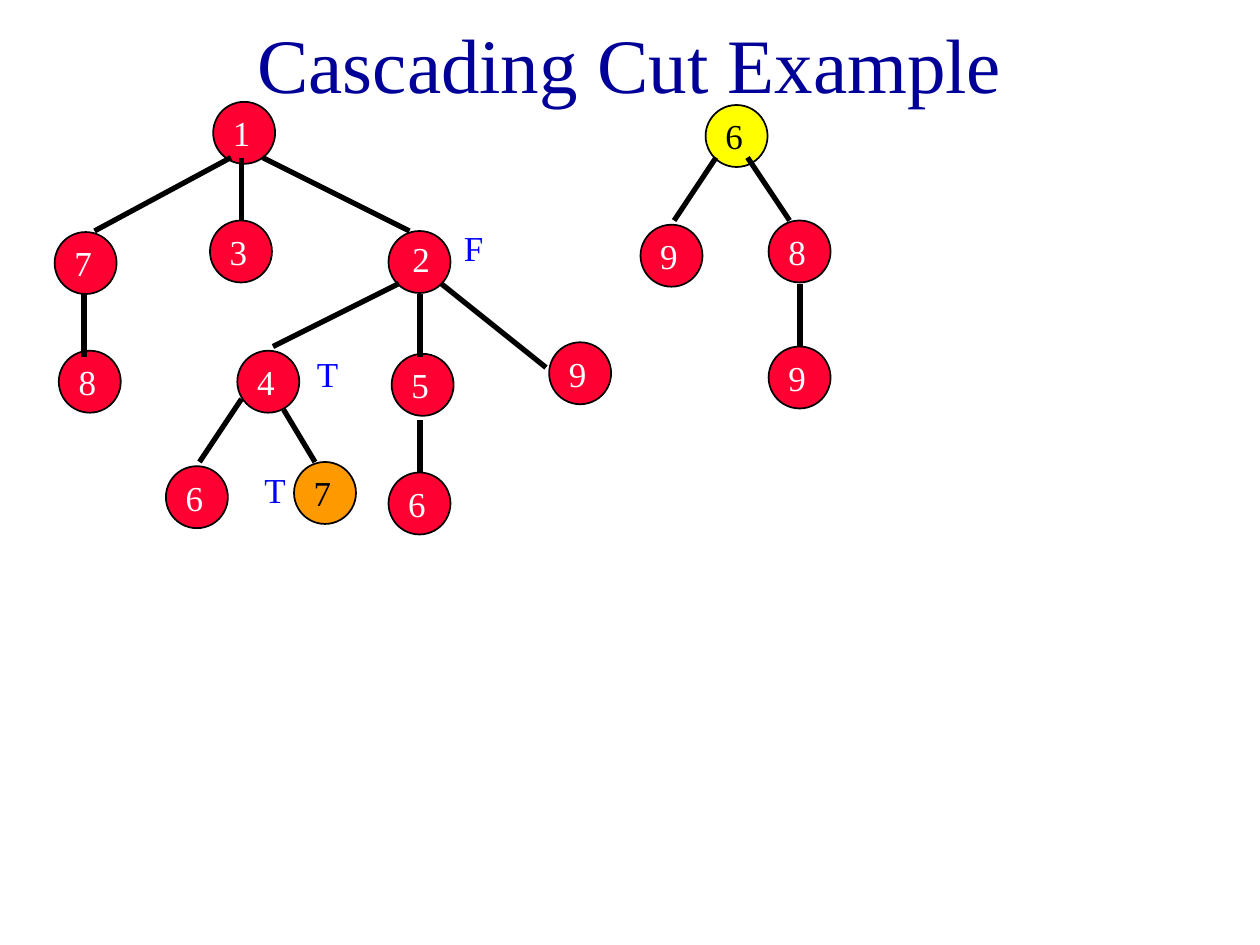
from pptx import Presentation
from pptx.dml.color import RGBColor
from pptx.enum.shapes import MSO_CONNECTOR, MSO_SHAPE
from pptx.enum.text import MSO_ANCHOR, PP_ALIGN
from pptx.oxml.ns import qn
from pptx.util import Inches, Pt

STRAIGHT = MSO_CONNECTOR.STRAIGHT
OVAL = MSO_SHAPE.OVAL
MIDDLE = MSO_ANCHOR.MIDDLE
CENTER = PP_ALIGN.CENTER

NAVY = RGBColor(0x00, 0x00, 0x99)
BLUE = RGBColor(0x00, 0x00, 0xFF)
RED = RGBColor(0xFF, 0x00, 0x33)
ORANGE = RGBColor(0xFF, 0x99, 0x00)
YELLOW = RGBColor(0xFF, 0xFF, 0x00)
BLACK = RGBColor(0x00, 0x00, 0x00)
WHITE = RGBColor(0xFF, 0xFF, 0xFF)

prs = Presentation()
prs.slide_width, prs.slide_height = Inches(10), Inches(7.5)
slide = prs.slides.add_slide(prs.slide_layouts[6])
shapes = slide.shapes


def cells(*counts):
    """Turn counts of grid cells into lengths; the slide is 120 by 90 cells."""
    return [round(prs.slide_width * count / 120) for count in counts]


def add_text(text, box, size, color, wrap=True):
    frame = shapes.add_textbox(*cells(*box)).text_frame
    frame.word_wrap = wrap
    run = frame.paragraphs[0].add_run()
    run.text = text
    run.font.name = "Times New Roman"
    run.font.size = Pt(size)
    run.font.color.rgb = color
    return frame


title = add_text("Cascading Cut Example", (9, 2, 102, 8), 44, NAVY)
title.vertical_anchor = MIDDLE
title.paragraphs[0].alignment = CENTER

# Heap nodes: key, column, row, fill, key colour
NODE_SIZE = 5.9
nodes = [
    ("1", 20.3, 9.7, RED, WHITE),
    ("7", 5.2, 22.1, RED, WHITE),
    ("3", 20, 21, RED, WHITE),
    ("2", 37, 22, RED, WHITE),
    ("8", 5.6, 33.4, RED, WHITE),
    ("4", 22.6, 33.4, RED, WHITE),
    ("5", 37.3, 33.7, RED, WHITE),
    ("9", 52.3, 32.6, RED, WHITE),
    ("6", 15.8, 44.4, RED, WHITE),
    ("7", 28, 44, ORANGE, BLACK),
    ("6", 37, 45, RED, WHITE),
    ("6", 67.2, 10, YELLOW, BLACK),
    ("9", 61, 21.4, RED, WHITE),
    ("8", 73.2, 21, RED, WHITE),
    ("9", 73.2, 33, RED, WHITE),
]
for key, col, row, fill, key_color in nodes:
    node = shapes.add_shape(OVAL, *cells(col, row, NODE_SIZE, NODE_SIZE))
    node.shadow.inherit = False
    node.fill.solid()
    node.fill.fore_color.rgb = fill
    node.line.color.rgb = BLACK
    node.line.width = Pt(1)
    dx, dy = (1.1, 0) if key == "2" else (0.7, 0.35)
    add_text(key, (col + dx, row + dy, 4.1, 5.2), 20, key_color, wrap=False)

# Parent-to-child links: start column and row, end column and row
links = [
    (22, 15, 9, 22), (23, 15, 23, 21), (25, 15, 39, 22),
    (8, 28, 8, 34),
    (38, 27, 26, 33), (40, 28, 40, 34), (42, 27, 52, 35),
    (23, 38, 19, 44), (27, 39, 30, 44),
    (40, 40, 40, 45),
    (68.2, 15, 64.2, 21), (71.2, 15, 75.2, 21),
    (76.2, 27, 76.2, 33),
]
for ends in links:
    link = shapes.add_connector(STRAIGHT, *cells(*ends))
    link.line.color.rgb = BLACK
    link.line.width = Pt(3)
    properties = link._element.spPr
    properties.append(properties.makeelement(qn("a:effectLst"), {}))

# Marks showing whether a node has already lost a child
for mark, col, row in [("T", 24, 44), ("T", 29, 33), ("F", 43, 21)]:
    add_text(mark, (col, row, 4, 5.3), 20, BLUE)

prs.save("out.pptx")
